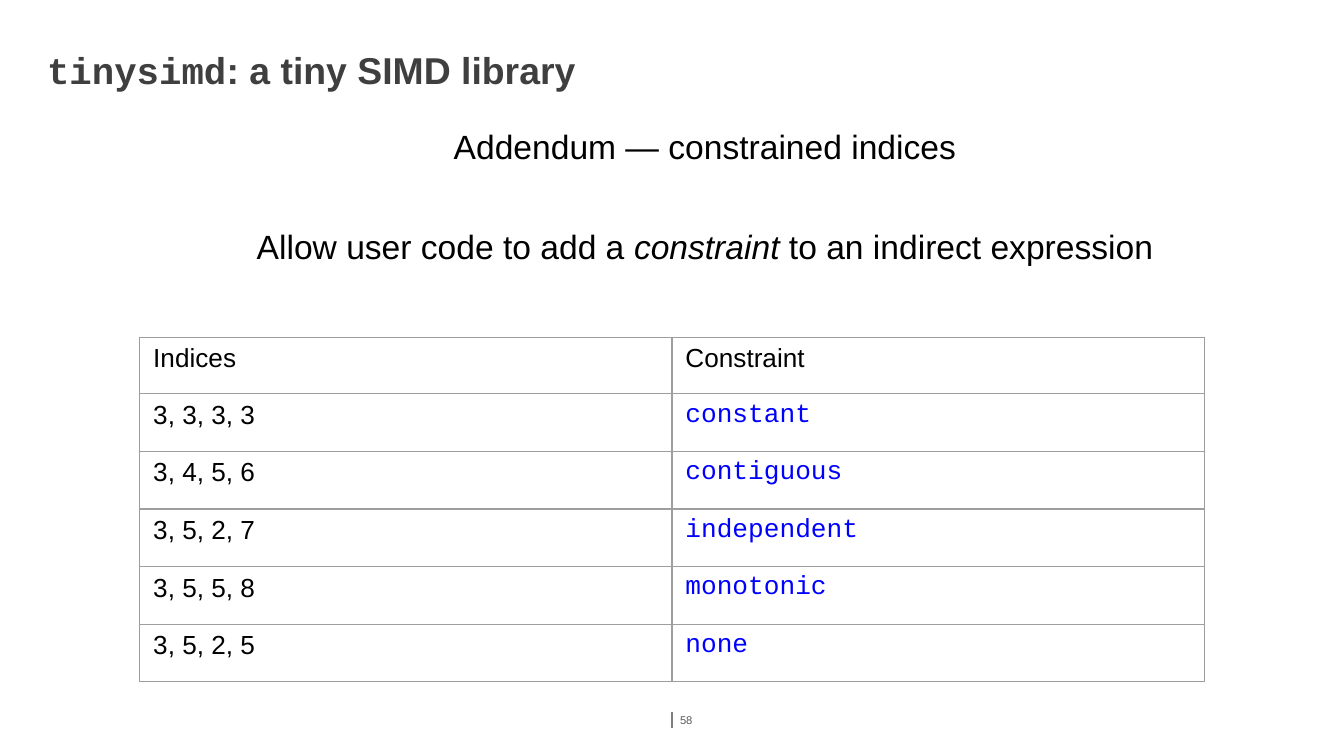
from dataclasses import dataclass

import pptx
import pptx.dml.color
import pptx.enum.shapes
import pptx.enum.text
import pptx.oxml
import pptx.oxml.ns
import pptx.util

WIDTH = 10
HEIGHT = WIDTH * 9 / 16
ALIGN = pptx.enum.text.PP_ALIGN
ANCHOR = pptx.enum.text.MSO_ANCHOR


@dataclass(frozen=True)
class Theme:
    sans: str = "Arial"
    mono: str = "Courier New"
    text: str = "000000"
    title: str = "3F3F3F"
    code: str = "0000FF"
    muted: str = "595959"
    rule: str = "7F7F7F"
    border: str = "9E9E9E"
    background: str = "FFFFFF"
    title_size: float = 20
    body_size: float = 18
    table_size: float = 14
    footer_size: float = 6
    line_width: float = 0.75


@dataclass(frozen=True)
class Box:
    """A region given in shares of the slide's width and height."""
    left: float
    top: float
    width: float
    height: float

    def lengths(self):
        inches = (self.left * WIDTH, self.top * HEIGHT,
                  self.width * WIDTH, self.height * HEIGHT)
        return [pptx.util.Inches(value) for value in inches]


THEME = Theme()
TITLE_BOX = Box(0.035, 0.007, 0.929, 0.126)
BODY_BOX = Box(0.035, 0.158, 0.929, 0.75)
TABLE_BOX = Box(0.104, 0.446, 0.792, 0.456)
FOOTER_BOX = Box(0.5, 0.942, 0.031, 0.021)
HEADER_SHARE = 0.164

ROWS = [
    ("Indices", "Constraint"),
    ("3, 3, 3, 3", "constant"),
    ("3, 4, 5, 6", "contiguous"),
    ("3, 5, 2, 7", "independent"),
    ("3, 5, 5, 8", "monotonic"),
    ("3, 5, 2, 5", "none"),
]


def color(value):
    return pptx.dml.color.RGBColor.from_string(value)


def add_text(paragraph, text, *, size, font=THEME.sans, fill=THEME.text,
             bold=False, italic=False):
    run = paragraph.add_run()
    run.text = text
    run.font.size = pptx.util.Pt(size)
    run.font.name = font
    run.font.color.rgb = color(fill)
    run.font.bold = bold
    run.font.italic = italic


def prepare_frame(frame, insets, anchor=ANCHOR.TOP):
    """Set wrapping, anchor and the left, top, right, bottom insets."""
    frame.word_wrap = True
    frame.auto_size = pptx.enum.text.MSO_AUTO_SIZE.NONE
    frame.vertical_anchor = anchor
    (frame.margin_left, frame.margin_top,
     frame.margin_right, frame.margin_bottom) = map(pptx.util.Inches, insets)


def place_title(slide, box):
    title = slide.shapes.title
    title.left, title.top, title.width, title.height = box.lengths()
    prepare_frame(title.text_frame, (0, 0, 0, 0.06), ANCHOR.BOTTOM)
    paragraph = title.text_frame.paragraphs[0]
    paragraph.alignment = ALIGN.LEFT
    for text, font in (("tinysimd", THEME.mono),
                       (": a tiny SIMD library", THEME.sans)):
        add_text(paragraph, text, size=THEME.title_size, font=font,
                 fill=THEME.title, bold=True)


def place_body(slide, box):
    frame = slide.shapes.add_textbox(*box.lengths()).text_frame
    prepare_frame(frame, (0.5, 0.05, 0, 0.04))
    heading = frame.paragraphs[0]
    add_text(heading, "Addendum — constrained indices", size=THEME.body_size)
    statement = frame.add_paragraph()
    statement.space_before = pptx.util.Pt(32)
    for text, italic in (("Allow user code to add a ", False),
                         ("constraint", True),
                         (" to an indirect expression", False)):
        add_text(statement, text, size=THEME.body_size, italic=italic)
    for paragraph in frame.paragraphs:
        paragraph.alignment = ALIGN.CENTER


def format_cell(cell):
    """Give the cell a plain fill and a thin border on all four sides."""
    properties = cell._tc.get_or_add_tcPr()
    for side in ("lnL", "lnR", "lnT", "lnB"):
        properties.append(pptx.oxml.parse_xml(
            f'<a:{side} {pptx.oxml.ns.nsdecls("a")} '
            f'w="{pptx.util.Pt(THEME.line_width)}"><a:solidFill>'
            f'<a:srgbClr val="{THEME.border}"/></a:solidFill></a:{side}>'))
    cell.fill.solid()
    cell.fill.fore_color.rgb = color(THEME.background)
    cell.margin_left = cell.margin_right = pptx.util.Inches(0.1)
    cell.margin_top = cell.margin_bottom = pptx.util.Inches(0.05)


def place_table(slide, box):
    left, top, width, height = box.lengths()
    table = slide.shapes.add_table(
        len(ROWS), len(ROWS[0]), left, top, width, height).table
    table.first_row = table.horz_banding = False
    header_height = int(height * HEADER_SHARE)
    row_height = (height - header_height) // (len(ROWS) - 1)
    for row_index, values in enumerate(ROWS):
        table.rows[row_index].height = row_height if row_index else header_height
        for column_index, text in enumerate(values):
            cell = table.cell(row_index, column_index)
            format_cell(cell)
            is_code = row_index > 0 and column_index == 1
            add_text(cell.text_frame.paragraphs[0], text,
                     size=THEME.table_size,
                     font=THEME.mono if is_code else THEME.sans,
                     fill=THEME.code if is_code else THEME.text)


def place_footer(slide, box):
    left, top, width, height = box.lengths()
    rule = slide.shapes.add_connector(
        pptx.enum.shapes.MSO_CONNECTOR.STRAIGHT, left, top, left, top + height)
    rule.line.color.rgb = color(THEME.rule)
    rule.line.width = pptx.util.Pt(THEME.line_width)
    rule._element.spPr.append(pptx.oxml.parse_xml(
        f'<a:effectLst {pptx.oxml.ns.nsdecls("a")}/>'))
    frame = slide.shapes.add_textbox(left, top, width, height).text_frame
    prepare_frame(frame, (0.06, 0, 0, 0), ANCHOR.MIDDLE)
    add_text(frame.paragraphs[0], "58", size=THEME.footer_size,
             fill=THEME.muted)


def main():
    presentation = pptx.Presentation()
    presentation.slide_width = pptx.util.Inches(WIDTH)
    presentation.slide_height = pptx.util.Inches(HEIGHT)
    title_only = presentation.slide_layouts.get_by_name("Title Only")
    slide = presentation.slides.add_slide(title_only)
    place_title(slide, TITLE_BOX)
    place_body(slide, BODY_BOX)
    place_table(slide, TABLE_BOX)
    place_footer(slide, FOOTER_BOX)
    presentation.save("out.pptx")


if __name__ == "__main__":
    main()
